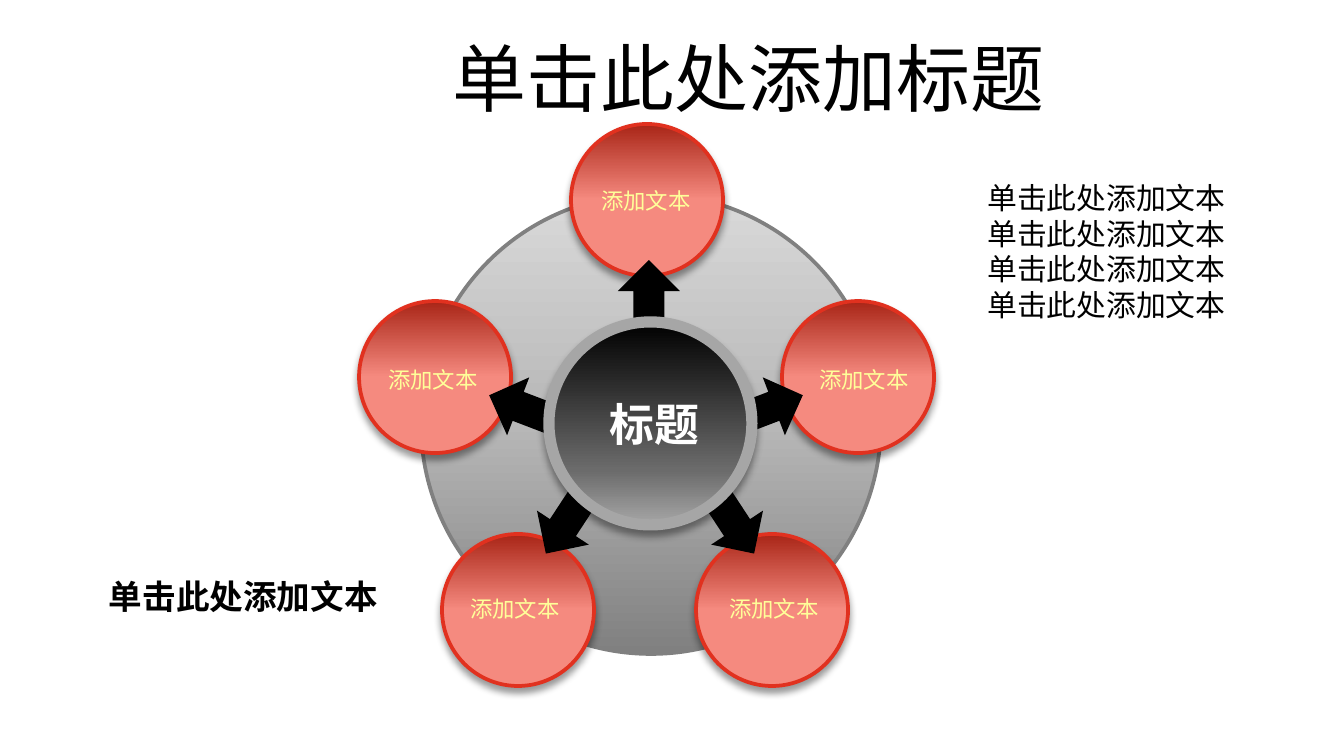
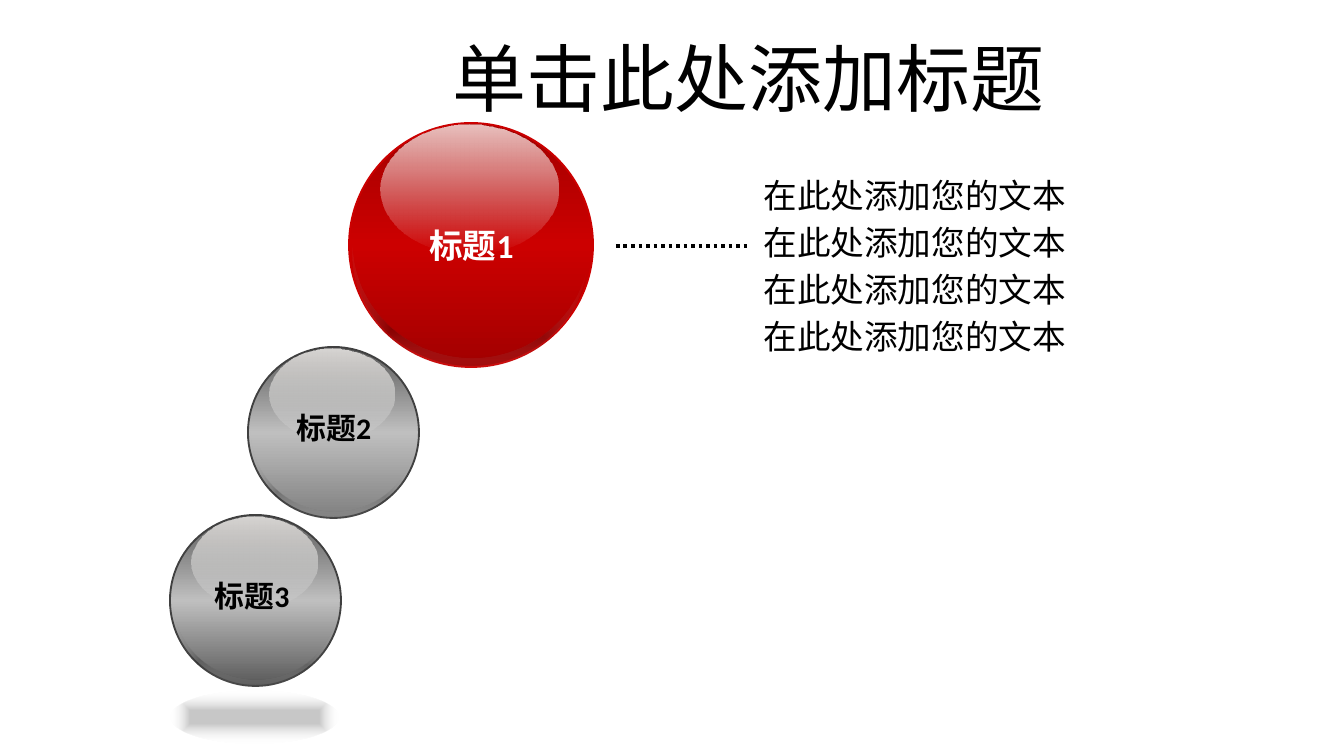
from dataclasses import dataclass
from typing import NamedTuple, Optional

from lxml.etree import SubElement
from pptx import Presentation
from pptx.dml.color import RGBColor
from pptx.enum.dml import MSO_LINE
from pptx.enum.shapes import MSO_CONNECTOR, MSO_SHAPE
from pptx.enum.text import MSO_ANCHOR, MSO_AUTO_SIZE, PP_ALIGN
from pptx.oxml.ns import qn
from pptx.util import Emu, Pt

# Scale and shared palette
SCALE = 914400 / 134.4
BLACK, WHITE, YELLOW = "000000", "FFFFFF", "FFFF99"
RED, RED_EDGE, DARK_EDGE = "CC0000", "E1311F", "404040"
GREY, RING = "808080", "A6A6A6"
LATIN, CJK, HEADING = "Calibri", "Noto Sans CJK SC", "Roboto"


class Box(NamedTuple):
    left: int
    top: int
    width: int
    height: int


class Stop(NamedTuple):
    position: int
    color: str
    alpha: int = 100


@dataclass(frozen=True)
class Gradient:
    stops: tuple
    angle: Optional[int] = 90  # None spreads out from the centre


@dataclass(frozen=True)
class TextStyle:
    size: float
    color: str = BLACK
    font: str = LATIN
    bold: bool = False
    align: PP_ALIGN = PP_ALIGN.CENTER
    anchor: MSO_ANCHOR = MSO_ANCHOR.MIDDLE
    before: float = 0
    line_height: Optional[float] = None


@dataclass(frozen=True)
class Satellite:
    left: int
    top: int
    label: Box


@dataclass(frozen=True)
class Arrow:
    left: int
    top: int
    rotation: float


@dataclass(frozen=True)
class Ball:
    left: int
    top: int
    size: int
    fill: Gradient
    edge: str
    title: str
    label: Box
    style: TextStyle


# Gradients and text styles
DISC_FILL = Gradient((Stop(0, GREY), Stop(50, "B7B7B7"), Stop(100, "D9D9D9")), 270)
SATELLITE_FILL = Gradient((Stop(0, "A92517"), Stop(50, "F58A7F"), Stop(100, "F58A7F")))
HUB_FILL = Gradient((Stop(0, BLACK), Stop(73, "6B6B6B"), Stop(100, RING)))
RED_FILL = Gradient((Stop(0, "A20000"), Stop(50, RED), Stop(100, "A20000")))
GREY_FILL = Gradient((Stop(0, "595959"), Stop(50, "BFBFBF"), Stop(100, GREY)))
DARK_FILL = Gradient((Stop(0, "595959"), Stop(50, "BFBFBF"), Stop(100, "595959")))
GLOSS_FILL = Gradient((Stop(0, "FFFCF9", 77), Stop(100, WHITE, 0)))
SHADE_FILL = Gradient((Stop(24, BLACK, 24), Stop(100, WHITE, 0)), None)
FLOOR_FILL = Gradient((Stop(24, BLACK, 22), Stop(100, WHITE, 0)), None)

TITLE_STYLE = TextStyle(39.6, font=HEADING)
SATELLITE_STYLE = TextStyle(12, YELLOW)
HUB_STYLE = TextStyle(24, WHITE, bold=True)
CAPTION_STYLE = TextStyle(18, font=CJK, bold=True, align=PP_ALIGN.RIGHT,
                          anchor=MSO_ANCHOR.TOP, line_height=21.5)
NOTES_STYLE = TextStyle(16, font=CJK, align=PP_ALIGN.RIGHT,
                        anchor=MSO_ANCHOR.TOP, line_height=19.1)
DETAIL_STYLE = TextStyle(18, align=PP_ALIGN.LEFT, anchor=MSO_ANCHOR.TOP, before=3.6)
RED_BALL_STYLE = TextStyle(18, WHITE, bold=True)
GREY_BALL_STYLE = TextStyle(16, bold=True)


def px(pixels: float) -> Emu:
    return Emu(round(pixels * SCALE))


def emu(box: Box) -> list:
    return [px(length) for length in box]


def rgb(color: str) -> RGBColor:
    return RGBColor.from_string(color)


def add_color(parent, color: str, alpha: int) -> None:
    tone = SubElement(parent, qn("a:srgbClr"), val=color)
    if alpha < 100:
        SubElement(tone, qn("a:alpha"), val=str(alpha * 1000))


def fill_gradient(shape, gradient: Gradient) -> None:
    shape.fill.gradient()
    fill = shape._element.spPr.find(qn("a:gradFill"))
    for child in list(fill):
        fill.remove(child)
    stops = SubElement(fill, qn("a:gsLst"))
    for stop in gradient.stops:
        mark = SubElement(stops, qn("a:gs"), pos=str(stop.position * 1000))
        add_color(mark, stop.color, stop.alpha)
    if gradient.angle is None:
        spread = SubElement(fill, qn("a:path"), path="shape")
        SubElement(spread, qn("a:fillToRect"), l="50000", t="50000", r="50000", b="50000")
    else:
        SubElement(fill, qn("a:lin"), ang=str(gradient.angle * 60000), scaled="0")


def add_figure(shapes, kind: MSO_SHAPE, box: Box, fill, edge: Optional[str] = None,
               edge_width: float = 1, shadow: bool = False):
    figure = shapes.add_shape(kind, *emu(box))
    figure.shadow.inherit = False
    if isinstance(fill, Gradient):
        fill_gradient(figure, fill)
    else:
        figure.fill.solid()
        figure.fill.fore_color.rgb = rgb(fill)
    if edge:
        figure.line.color.rgb = rgb(edge)
        figure.line.width = Pt(edge_width)
    else:
        figure.line.fill.background()
    if shadow:
        effects = figure._element.spPr.find(qn("a:effectLst"))
        cast = SubElement(effects, qn("a:outerShdw"), blurRad=str(Pt(4)),
                          dist=str(Pt(3)), dir="5400000", rotWithShape="0")
        add_color(cast, BLACK, 40)
    return figure


def write(holder, lines: list, style: TextStyle) -> None:
    frame = holder.text_frame
    frame.word_wrap = True
    frame.auto_size = MSO_AUTO_SIZE.NONE
    frame.vertical_anchor = style.anchor
    for index, line in enumerate(lines):
        paragraph = frame.add_paragraph() if index else frame.paragraphs[0]
        paragraph.alignment = style.align
        paragraph.space_before = Pt(style.before)
        if style.line_height:
            paragraph.line_spacing = Pt(style.line_height)
        run = paragraph.add_run()
        run.text = line
        run.font.size = Pt(style.size)
        run.font.bold = style.bold
        run.font.name = style.font
        run.font.color.rgb = rgb(style.color)
        SubElement(run._r.get_or_add_rPr(), qn("a:ea"), typeface=style.font)


def add_label(shapes, box: Box, text: str, style: TextStyle) -> None:
    write(shapes.add_textbox(*emu(box)), [text], style)


def place(holder, box: Box) -> None:
    holder.left, holder.top, holder.width, holder.height = emu(box)


def new_slide(deck, body_box: Box, lines: list, style: TextStyle):
    """Start a slide with the shared title and a list without bullets."""
    slide = deck.slides.add_slide(deck.slide_layouts[1])
    place(slide.shapes.title, Box(164, 38, 1169, 77))
    write(slide.shapes.title, ["单击此处添加标题"], TITLE_STYLE)
    body = slide.placeholders[1]
    place(body, body_box)
    write(body, lines, style)
    for paragraph in body.text_frame.paragraphs:
        properties = paragraph._p.get_or_add_pPr()
        properties.set("marL", "0")
        properties.set("indent", "0")
        SubElement(properties, qn("a:buNone"))
    return slide


def add_satellite(slide, satellite: Satellite) -> None:
    shapes = slide.shapes.add_group_shape().shapes
    add_figure(shapes, MSO_SHAPE.OVAL, Box(satellite.left, satellite.top, 152, 152),
               SATELLITE_FILL, RED_EDGE, 2, shadow=True)
    add_label(shapes, satellite.label, "添加文本", SATELLITE_STYLE)


def add_ball(slide, ball: Ball):
    """Draw a glass ball: sphere, top gloss, lower shade and title."""
    shapes = slide.shapes.add_group_shape().shapes
    left, top, size = ball.left, ball.top, ball.size

    def part(x: float, y: float, width: float, height: float) -> Box:
        return Box(left + round(x * size), top + round(y * size),
                   round(width * size), round(height * size))

    add_figure(shapes, MSO_SHAPE.OVAL, part(0, 0, 1, 1), ball.fill, ball.edge)
    add_figure(shapes, MSO_SHAPE.OVAL, part(0.13, 0.01, 0.73, 0.53), GLOSS_FILL)
    shade = add_figure(shapes, MSO_SHAPE.MOON, part(0.24, 0.29, 0.46, 0.96), SHADE_FILL)
    shade.adjustments[0] = 0.09
    shade.rotation = 276.2
    add_label(shapes, ball.label, ball.title, ball.style)
    return shapes


def build_wheel(deck) -> None:
    slide = new_slide(deck, Box(949, 173, 290, 195), ["单击此处添加文本"] * 4, NOTES_STYLE)

    # Disc and satellites
    add_figure(slide.shapes, MSO_SHAPE.OVAL, Box(421, 194, 460, 460), DISC_FILL, GREY, 2)
    for satellite in (
        Satellite(571, 124, Box(560, 181, 172, 40)),
        Satellite(782, 301, Box(782, 360, 164, 40)),
        Satellite(696, 534, Box(692, 589, 164, 40)),
        Satellite(442, 534, Box(429, 589, 172, 40)),
        Satellite(359, 301, Box(355, 360, 156, 40)),
    ):
        add_satellite(slide, satellite)

    # Arrows from the hub
    for arrow in (Arrow(616, 262, 270), Arrow(739, 376, 339.1), Arrow(487, 376, 200.9),
                  Arrow(531, 495, 123.3), Arrow(703, 495, 56.7)):
        pointer = add_figure(slide.shapes, MSO_SHAPE.RIGHT_ARROW,
                             Box(arrow.left, arrow.top, 66, 62), BLACK)
        pointer.rotation = arrow.rotation

    # Hub and caption
    hub = slide.shapes.add_group_shape().shapes
    add_figure(hub, MSO_SHAPE.OVAL, Box(549, 322, 203, 203), HUB_FILL, RING, 6, shadow=True)
    add_label(hub, Box(568, 390, 172, 67), "标题", HUB_STYLE)
    add_label(slide.shapes, Box(38, 570, 353, 54), "单击此处添加文本", CAPTION_STYLE)


def build_balls(deck) -> None:
    slide = new_slide(deck, Box(750, 168, 403, 200), ["在此处添加您的文本"] * 4, DETAIL_STYLE)

    # Glass balls, the last one above its floor shadow
    for ball in (
        Ball(349, 123, 244, RED_FILL, RED, "标题1", Box(405, 218, 133, 54), RED_BALL_STYLE),
        Ball(248, 347, 171, GREY_FILL, DARK_EDGE, "标题2", Box(265, 403, 138, 50),
             GREY_BALL_STYLE),
        Ball(170, 515, 171, DARK_FILL, DARK_EDGE, "标题3", Box(179, 571, 146, 50),
             GREY_BALL_STYLE),
    ):
        shapes = add_ball(slide, ball)
    add_figure(shapes, MSO_SHAPE.OVAL, Box(171, 691, 167, 52), FLOOR_FILL)

    # Dotted leader to the details
    leader = slide.shapes.add_connector(MSO_CONNECTOR.STRAIGHT,
                                        px(616), px(246), px(750), px(246))
    leader.line.color.rgb = rgb(BLACK)
    leader.line.width = Pt(2)
    leader.line.dash_style = MSO_LINE.ROUND_DOT
    SubElement(leader._element.spPr, qn("a:effectLst"))


deck = Presentation()
deck.slide_width, deck.slide_height = px(1344), px(756)
build_wheel(deck)
build_balls(deck)
deck.save("out.pptx")
